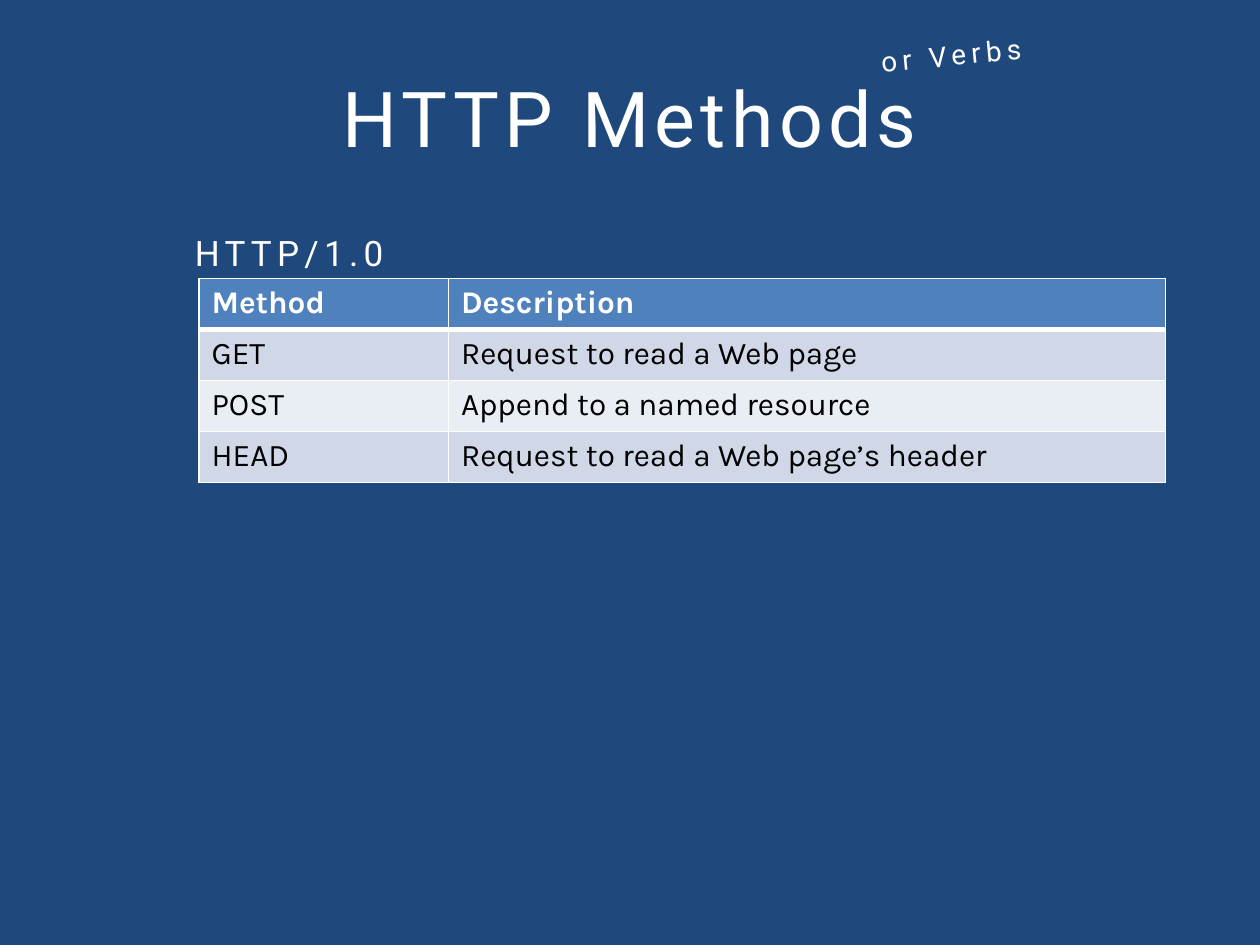
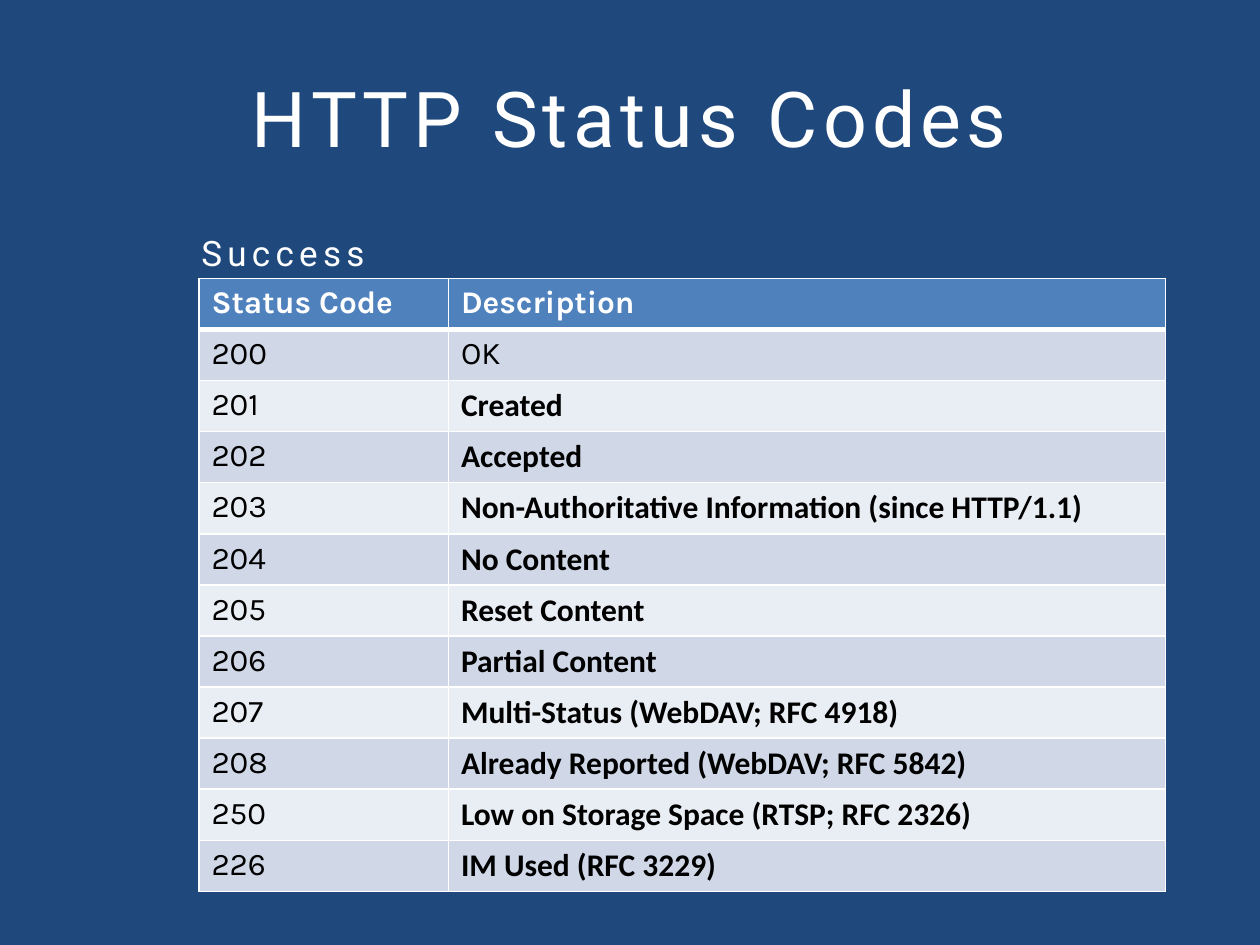
from pptx import Presentation
from pptx import util as u
from pptx.dml.color import RGBColor
from pptx.enum import text
from pptx.oxml import parse_xml
from pptx.oxml.ns import nsdecls

NAVY = "1F497D"
WHITE = "FFFFFF"
BLACK = "000000"
HEADER_BLUE = "4F81BD"
BANDS = ("D0D8E8", "E9EDF4")
COLUMN_WIDTHS = (5.03, 14.45)
ROW_HEIGHT = 1.03

METHODS = [
    ("Method", "Description"),
    ("GET", "Request to read a Web page"),
    ("POST", "Append to a named resource"),
    ("HEAD", "Request to read a Web page’s header"),
]
SUCCESS_CODES = [
    ("Status Code", "Description"),
    ("200", "OK"),
    ("201", "Created"),
    ("202", "Accepted"),
    ("203", "Non-Authoritative Information (since HTTP/1.1)"),
    ("204", "No Content"),
    ("205", "Reset Content"),
    ("206", "Partial Content"),
    ("207", "Multi-Status (WebDAV; RFC 4918)"),
    ("208", "Already Reported (WebDAV; RFC 5842)"),
    ("250", "Low on Storage Space (RTSP; RFC 2326)"),
    ("226", "IM Used (RFC 3229)"),
]


def paint(target, hex_color):
    target.solid()
    target.fore_color.rgb = RGBColor.from_string(hex_color)


def write(frame, words, size=18, font="Karla", color=BLACK, bold=False,
          align=text.PP_ALIGN.LEFT, spacing=0):
    paragraph = frame.paragraphs[0]
    paragraph.alignment = align
    run = paragraph.add_run()
    run.text = words
    run.font.size = u.Pt(size)
    run.font.name = font
    run.font.bold = bold
    paint(run.font.fill, color)
    if spacing:
        run.font._element.set("spc", str(spacing * 100))


def add_label(slide, words, left, top, width, height, size,
              align=text.PP_ALIGN.CENTER, rotation=0):
    label = slide.shapes.add_textbox(u.Cm(left), u.Cm(top), u.Cm(width), u.Cm(height))
    label.rotation = rotation
    label.text_frame.word_wrap = True
    label.text_frame.vertical_anchor = text.MSO_ANCHOR.MIDDLE
    write(label.text_frame, words, size=size, font="Roboto", color=WHITE,
          align=align, spacing=3)


def add_borders(cell, top=1, bottom=1):
    properties = cell._tc.get_or_add_tcPr()
    for side, points in (("L", 1), ("R", 1), ("T", top), ("B", bottom)):
        properties.append(parse_xml(
            f'<a:ln{side} {nsdecls("a")} w="{u.Pt(points)}"><a:solidFill>'
            f'<a:srgbClr val="{WHITE}"/></a:solidFill></a:ln{side}>'))


def add_reference_table(slide, entries, bold_from=None):
    table = slide.shapes.add_table(
        len(entries), len(COLUMN_WIDTHS), u.Cm(4.01), u.Cm(5.61),
        u.Cm(sum(COLUMN_WIDTHS)), u.Cm(ROW_HEIGHT * len(entries))).table
    for column, width in zip(table.columns, COLUMN_WIDTHS):
        column.width = u.Cm(width)
    for r, entry in enumerate(entries):
        table.rows[r].height = u.Cm(ROW_HEIGHT)
        header = r == 0
        for c, words in enumerate(entry):
            cell = table.cell(r, c)
            add_borders(cell, top=3 if r == 1 else 1, bottom=3 if header else 1)
            paint(cell.fill, HEADER_BLUE if header else BANDS[(r - 1) % 2])
            strong = bold_from is not None and r >= bold_from and c == 1
            write(cell.text_frame, words, font="Calibri" if strong else "Karla",
                  color=WHITE if header else BLACK, bold=header or strong)


def add_titled_slide(deck, title):
    slide = deck.slides.add_slide(deck.slide_layouts[6])
    paint(slide.background.fill, NAVY)
    add_label(slide, title, 1.27, 0.76, 22.86, 3.18, size=44)
    return slide


def main():
    deck = Presentation()
    deck.slide_width = u.Cm(25.4)
    deck.slide_height = u.Cm(19.05)

    methods = add_titled_slide(deck, "HTTP Methods")
    add_label(methods, "or Verbs", 12.78, -0.05, 12.78, 2.31, size=16, rotation=354.6)
    add_reference_table(methods, METHODS)
    add_label(methods, "HTTP/1.0", 2.97, 4.45, 5.72, 1.27, size=20)

    status_codes = add_titled_slide(deck, "HTTP Status Codes")
    add_reference_table(status_codes, SUCCESS_CODES, bold_from=2)
    add_label(status_codes, "Success", 3.81, 4.45, 5.72, 1.27, size=20,
              align=text.PP_ALIGN.LEFT)

    deck.save("out.pptx")


if __name__ == "__main__":
    main()
